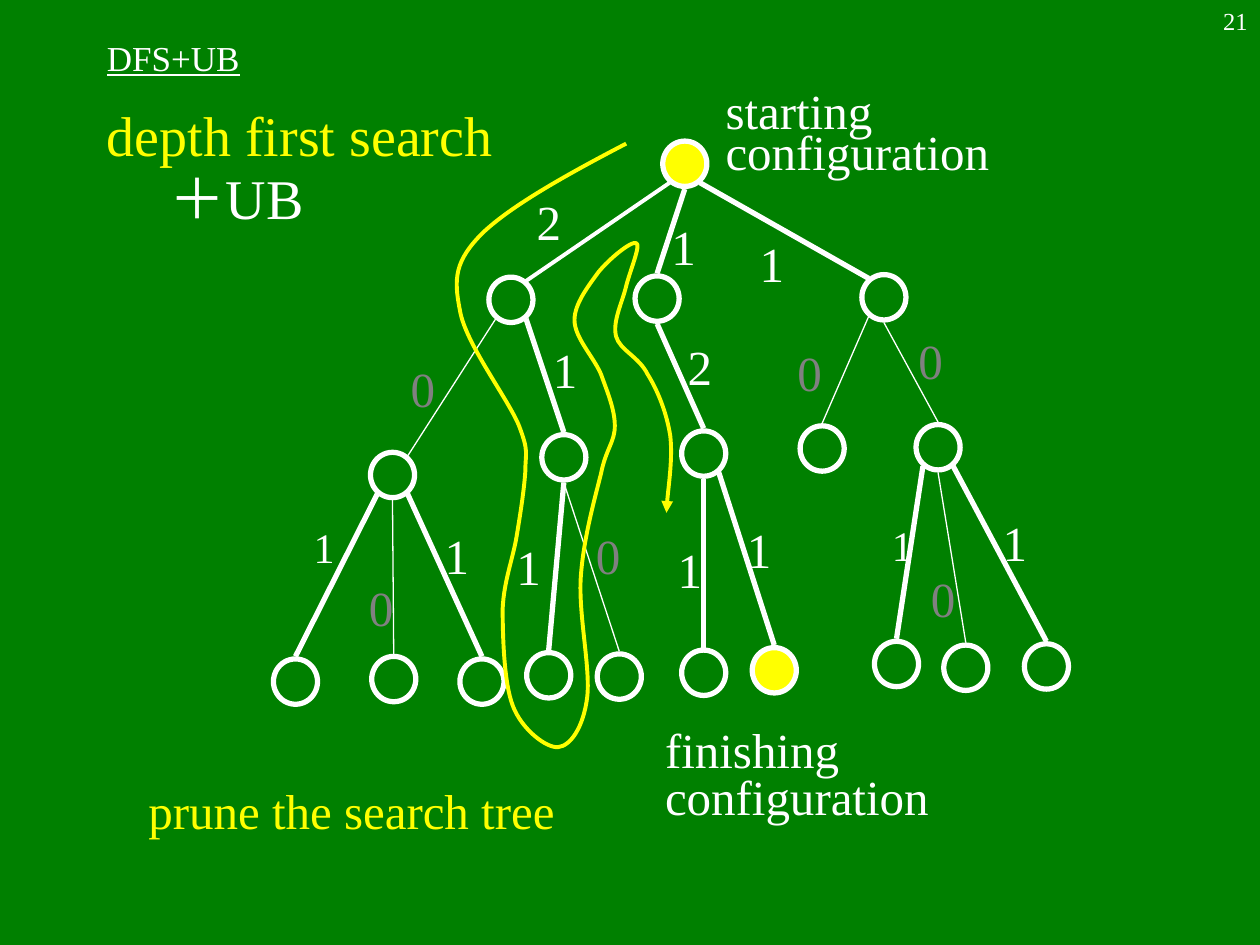
from lxml.etree import SubElement
from pptx import Presentation
from pptx.dml.color import RGBColor
from pptx.enum.shapes import MSO_CONNECTOR, MSO_SHAPE
from pptx.enum.text import MSO_ANCHOR, PP_ALIGN
from pptx.oxml.ns import qn
from pptx.util import Cm, Pt

COLORS = {"green": "008000", "white": "FFFFFF", "yellow": "FFFF00", "gray": "808080"}
FONT = "Times New Roman"
NODE_WIDTH, NODE_HEIGHT = 0.35, 0.36

NODES = {
    "root": (5.26, 1.12), "left": (3.88, 2.2), "middle": (5.04, 2.19), "right": (6.84, 2.18),
    "left a": (2.94, 3.59), "left b": (4.3, 3.45), "middle a": (5.41, 3.42),
    "right a": (6.35, 3.38), "right b": (7.27, 3.37),
    "leaf 1": (2.17, 5.23), "leaf 2": (2.95, 5.21), "leaf 3": (3.65, 5.23),
    "leaf 4": (4.18, 5.18), "leaf 5": (4.74, 5.19), "leaf 6": (5.41, 5.16),
    "leaf 7": (5.97, 5.14), "leaf 8": (6.94, 5.09), "leaf 9": (7.49, 5.12),
    "leaf 10": (8.13, 5.11),
}
FILLED_NODES = {"root", "leaf 7"}

SIDES = {
    "top": (0, -0.2), "bottom": (0, 0.2),
    "top left": (-0.12, -0.15), "top right": (0.12, -0.15),
    "bottom left": (-0.12, 0.15), "bottom right": (0.12, 0.15),
}
EDGES = [
    ("root", "bottom left", "left", "top right", 2.25),
    ("root", "bottom", "middle", "top", 3),
    ("root", "bottom right", "right", "top left", 3),
    ("left", "bottom left", "left a", "top right", 0.75),
    ("left", "bottom right", "left b", "top", 3),
    ("middle", "bottom", "middle a", "top", 3),
    ("right", "bottom left", "right a", "top", 0.75),
    ("right", "bottom", "right b", "top", 0.75),
    ("left a", "bottom left", "leaf 1", "top", 3),
    ("left a", "bottom", "leaf 2", "top", 0.75),
    ("left a", "bottom right", "leaf 3", "top", 3),
    ("left b", "bottom", "leaf 4", "top", 3),
    ("left b", "bottom", "leaf 5", "top", 0.75),
    ("middle a", "bottom", "leaf 6", "top", 3),
    ("middle a", "bottom right", "leaf 7", "top", 3),
    ("right b", "bottom left", "leaf 8", "top", 3),
    ("right b", "bottom", "leaf 9", "top", 0.75),
    ("right b", "bottom right", "leaf 10", "top", 3),
]

LABEL_SIZES = {28: (0.39, 0.57), 24: (0.36, 0.5)}
LABELS = [
    ("2", 4.16, 1.47, 28), ("1", 5.23, 1.67, 28), ("1", 5.93, 1.8, 28),
    ("0", 3.16, 2.79, 28), ("1", 4.29, 2.64, 28), ("2", 5.36, 2.62, 28),
    ("0", 6.23, 2.67, 28), ("0", 7.19, 2.57, 28),
    ("1", 2.39, 4.09, 24), ("0", 2.83, 4.53, 28), ("1", 3.43, 4.12, 28),
    ("1", 4, 4.21, 28), ("0", 4.63, 4.12, 28), ("1", 5.28, 4.23, 28),
    ("1", 5.83, 4.07, 28), ("1", 6.98, 4.07, 24), ("0", 7.29, 4.46, 28),
    ("1", 7.86, 4.02, 28),
]

SEARCH_START = (4.97, 1.14)
SEARCH_CURVES = [
    ((4.51, 1.38), (4.06, 1.63), (3.83, 1.85)), ((3.61, 2.07), (3.6, 2.21), (3.65, 2.46)),
    ((3.69, 2.72), (4.03, 3.16), (4.12, 3.38)), ((4.2, 3.59), (4.17, 3.59), (4.17, 3.74)),
    ((4.16, 3.89), (4.13, 4.08), (4.1, 4.26)), ((4.07, 4.44), (4, 4.61), (3.99, 4.83)),
    ((3.99, 5.05), (4, 5.42), (4.07, 5.6)), ((4.14, 5.79), (4.34, 5.94), (4.43, 5.93)),
    ((4.53, 5.92), (4.63, 5.77), (4.66, 5.54)), ((4.69, 5.31), (4.59, 4.88), (4.61, 4.58)),
    ((4.63, 4.28), (4.72, 3.96), (4.77, 3.76)), ((4.81, 3.56), (4.88, 3.51), (4.88, 3.38)),
    ((4.88, 3.25), (4.82, 3.11), (4.77, 2.97)), ((4.71, 2.83), (4.56, 2.68), (4.56, 2.54)),
    ((4.56, 2.41), (4.67, 2.27), (4.75, 2.16)), ((4.83, 2.06), (5.01, 1.91), (5.05, 1.93)),
    ((5.09, 1.94), (5, 2.15), (4.97, 2.27)), ((4.94, 2.4), (4.86, 2.55), (4.89, 2.67)),
    ((4.92, 2.78), (5.07, 2.83), (5.14, 2.97)), ((5.22, 3.1), (5.29, 3.27), (5.32, 3.46)),
    ((5.34, 3.64), (5.29, 3.97), (5.29, 4.07)),
]


def lengths(*inches):
    return [Cm(value * 2.54) for value in inches]


def color(name):
    return RGBColor.from_string(COLORS[name])


def set_line(shape, name, width):
    shape.line.color.rgb = color(name)
    shape.line.width = Pt(width)


def add_text(page, text, place, size, name="white", anchor=MSO_ANCHOR.MIDDLE,
             align=PP_ALIGN.LEFT, spacing=1.0, wrap=False):
    box = page.shapes.add_textbox(*lengths(*place))
    frame = box.text_frame
    frame.text = text
    frame.word_wrap = wrap
    frame.vertical_anchor = anchor
    for paragraph in frame.paragraphs:
        paragraph.alignment = align
        paragraph.line_spacing = spacing
        for span in paragraph.runs:
            span.font.name = FONT
            span.font.size = Pt(size)
            span.font.color.rgb = color(name)
    return frame.paragraphs


def add_node(page, name):
    place = lengths(*NODES[name], NODE_WIDTH, NODE_HEIGHT)
    node = page.shapes.add_shape(MSO_SHAPE.OVAL, *place)
    node.shadow.inherit = False
    if name in FILLED_NODES:
        node.fill.solid()
        node.fill.fore_color.rgb = color("yellow")
    else:
        node.fill.background()
    set_line(node, "white", 3)


def node_point(name, side):
    left, top = NODES[name]
    across, down = SIDES[side]
    return lengths(left + NODE_WIDTH / 2 + across, top + NODE_HEIGHT / 2 + down)


def add_edge(page, parent, start_side, child, end_side, width):
    ends = node_point(parent, start_side) + node_point(child, end_side)
    edge = page.shapes.add_connector(MSO_CONNECTOR.STRAIGHT, *ends)
    set_line(edge, "white", width)
    SubElement(edge._element.spPr, qn("a:effectLst"))


def add_search_curve(page):
    points = [lengths(*point) for curve in SEARCH_CURVES for point in curve]
    builder = page.shapes.build_freeform(*lengths(*SEARCH_START))
    builder.add_line_segments(points, close=False)
    curve = builder.convert_to_shape()
    curve.shadow.inherit = False
    curve.fill.background()
    set_line(curve, "yellow", 2.25)
    SubElement(curve.line._get_or_add_ln(), qn("a:tailEnd"), type="triangle")
    segments = list(curve._element.iter(qn("a:lnTo")))
    outline = segments[0].getparent()
    for first in range(0, len(segments), 3):
        bend = SubElement(outline, qn("a:cubicBezTo"))
        for segment in segments[first:first + 3]:
            bend.append(segment[0])
            outline.remove(segment)


def main():
    deck = Presentation()
    deck.slide_width, deck.slide_height = Cm(25.4), Cm(19.05)
    page = deck.slides.add_slide(deck.slide_layouts[6])
    page.background.fill.solid()
    page.background.fill.fore_color.rgb = color("green")

    title = add_text(page, "DFS+UB", (0.75, 0.33, 6.42, 0.25), 20, wrap=True)
    title[0].runs[0].font.underline = True
    heading, bound = add_text(page, "depth first search\n＋UB", (0.75, 0.75, 8.92, 6.17), 32,
                              "yellow", MSO_ANCHOR.TOP, wrap=True)
    bound.line_spacing = 0.7
    bound.space_before = Pt(8)
    bound.runs[0].font.color.rgb = color("white")
    bound._p.get_or_add_pPr().set("marL", str(Cm(1.27)))

    for name in NODES:
        add_node(page, name)
    for edge in EDGES:
        add_edge(page, *edge)
    add_text(page, "starting\nconfiguration", (5.66, 0.71, 2.29, 0.76), 28, spacing=0.7)
    add_text(page, "finishing\nconfiguration", (5.18, 5.75, 2.29, 0.85), 28, spacing=0.8)
    for text, left, top, size in LABELS:
        name = "gray" if text == "0" else "white"
        add_text(page, text, (left, top, *LABEL_SIZES[size]), size, name, align=PP_ALIGN.CENTER)
    add_search_curve(page)
    add_text(page, "prune the search tree", (1.08, 6.14, 3.42, 0.57), 28, "yellow",
             align=PP_ALIGN.CENTER)
    add_text(page, "21", (7.92, 0, 2.08, 0.5), 14, anchor=MSO_ANCHOR.TOP,
             align=PP_ALIGN.RIGHT, wrap=True)
    deck.save("out.pptx")


if __name__ == "__main__":
    main()
